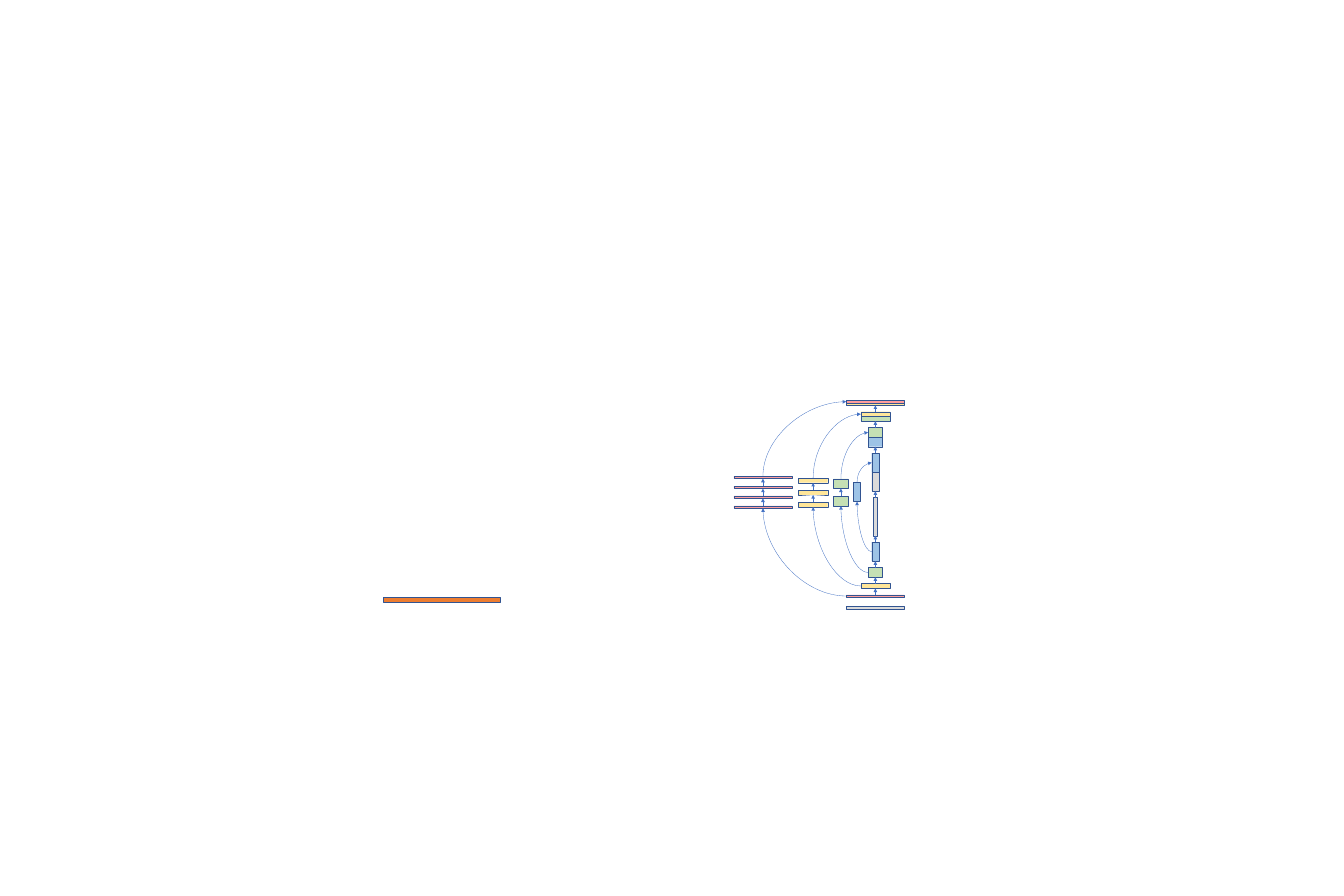
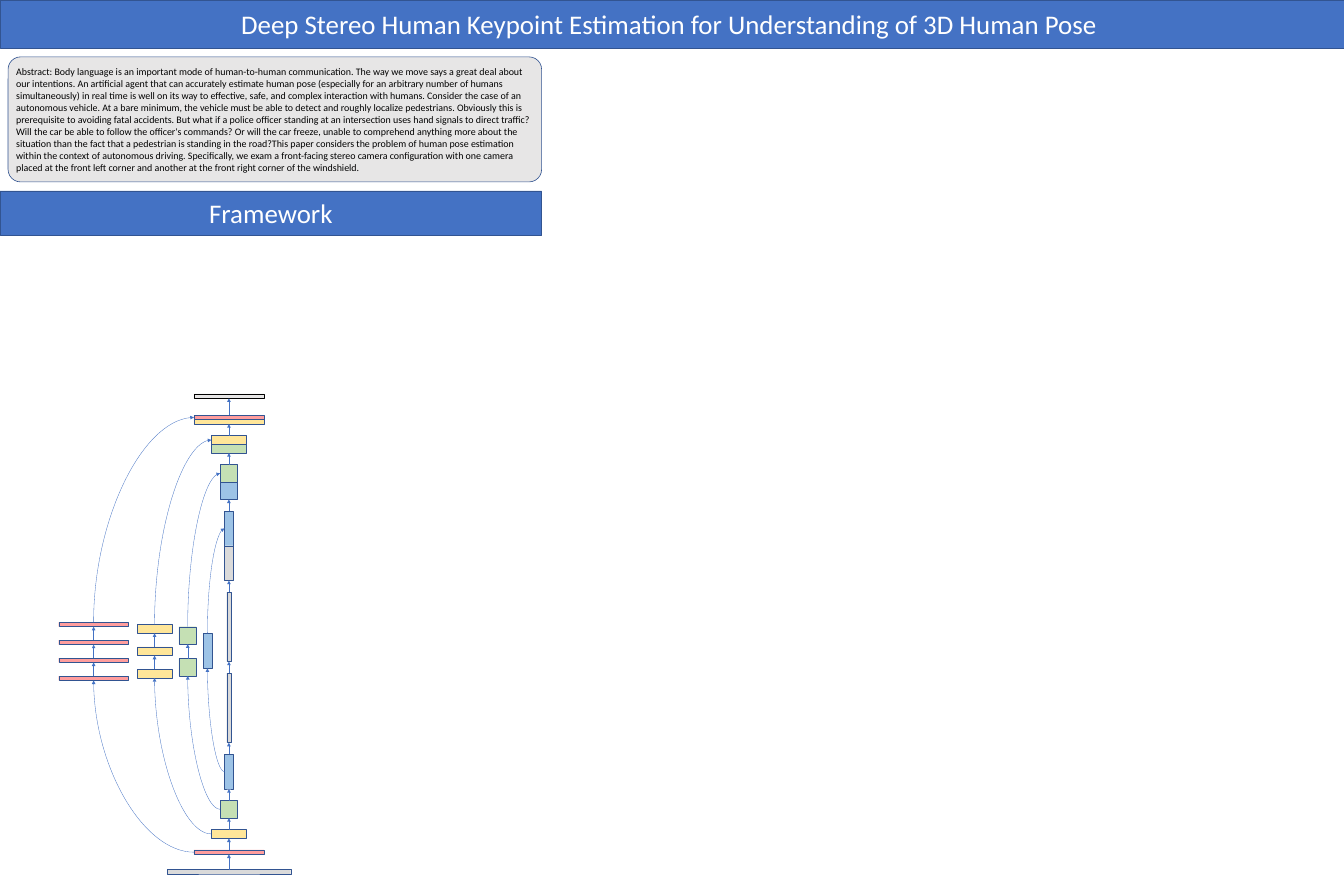
"""Two poster slides built around an encoder-decoder network diagram."""
from dataclasses import dataclass

from lxml import etree
from pptx import Presentation
from pptx.dml.color import RGBColor
from pptx.enum.shapes import MSO_CONNECTOR, MSO_SHAPE
from pptx.enum.text import MSO_ANCHOR, MSO_AUTO_SIZE, PP_ALIGN
from pptx.oxml.ns import qn
from pptx.util import Inches, Pt

RECT, ROUNDED = MSO_SHAPE.RECTANGLE, MSO_SHAPE.ROUNDED_RECTANGLE
STRAIGHT, CURVE = MSO_CONNECTOR.STRAIGHT, MSO_CONNECTOR.CURVE
CENTER, LEFT = PP_ALIGN.CENTER, PP_ALIGN.LEFT
MIDDLE, NO_AUTOFIT = MSO_ANCHOR.MIDDLE, MSO_AUTO_SIZE.NONE
TITLE_ONLY, BLANK = 5, 6
TOP_SITE, BOTTOM_SITE = 0, 2
QUARTER_TURN = 90 * 60000


@dataclass(frozen=True)
class Theme:
    """Colours, type and line weights shared by both slides."""
    band: str = "4472C4"
    outline: str = "325491"
    panel: str = "E7E6E6"
    orange: str = "ED7D31"
    neck: str = "DADADA"
    levels: tuple = ("FF9D9D", "FFE699", "C5E0B4", "9DC3E6")
    white: str = "FFFFFF"
    black: str = "000000"
    font: str = "Calibri"
    heading_size: float = 43.2
    body_size: float = 16
    thin: float = 0.5
    regular: float = 1
    page_width: float = 30
    page_height: float = 20
    column_width: float = 12.09


@dataclass(frozen=True)
class Network:
    """Size and place of one diagram; each skip is (centre x, first top, pitch)."""
    center: float
    top: float
    bottom: float
    widest: float
    tallest: float
    necks: int
    skips: tuple


THEME = Theme()
COMPACT = Network(
    19.54, 8.94, 13.33, 1.3, 0.85, 1,
    ((17.03, 10.63, 0.22), (18.15, 10.67, 0.27), (18.77, 10.69, 0.39), (19.13, 10.77, 0)))
TALL = Network(
    5.11, 9.27, 19.07, 1.56, 1.55, 2,
    ((2.09, 13.89, 0.4), (3.45, 13.94, 0.5), (4.19, 13.99, 0.71), (4.63, 14.14, 0)))

TITLE = "Deep Stereo Human Keypoint Estimation for Understanding of 3D Human Pose "
ABSTRACT_SENTENCES = [
    "Abstract: Body language is an important mode of human-to-human communication.",
    "The way we move says a great deal about our intentions.",
    "An artificial agent that can accurately estimate human pose (especially for an "
    "arbitrary number of humans simultaneously) in real time is well on its way to "
    "effective, safe, and complex interaction with humans.",
    "Consider the case of an autonomous vehicle.",
    "At a bare minimum, the vehicle must be able to detect and roughly localize "
    "pedestrians.",
    "Obviously this is prerequisite to avoiding fatal accidents.",
    "But what if a police officer standing at an intersection uses hand signals to "
    "direct traffic?",
    "Will the car be able to follow the officer's commands?",
    "Or will the car freeze, unable to comprehend anything more about the situation "
    "than the fact that a pedestrian is standing in the road?This paper considers the "
    "problem of human pose estimation within the context of autonomous driving.",
    "Specifically, we exam a front-facing stereo camera configuration with one camera "
    "placed at the front left corner and another at the front right corner of the "
    "windshield.",
]


def paint(shape, fill, outline=THEME.outline, weight=THEME.thin):
    """Give a shape a flat fill and an outline."""
    shape.fill.solid()
    shape.fill.fore_color.rgb = RGBColor.from_string(fill)
    shape.line.color.rgb = RGBColor.from_string(outline)
    shape.line.width = Pt(weight)


def add_block(canvas, center, top, width, height, fill, kind=RECT, **outline):
    """Draw a block centred on a vertical axis."""
    block = canvas.add_shape(kind, Inches(center - width / 2), Inches(top),
                             Inches(width), Inches(height))
    block.shadow.inherit = False
    paint(block, fill, **outline)
    return block


def write(shape, text, size, color, align):
    """Set one paragraph of text, centred vertically in its shape."""
    frame = shape.text_frame
    frame.text = text
    frame.word_wrap = True
    frame.auto_size = NO_AUTOFIT
    frame.vertical_anchor = MIDDLE
    paragraph = frame.paragraphs[0]
    paragraph.alignment = align
    font = paragraph.runs[0].font
    font.name, font.size = THEME.font, Pt(size)
    font.color.rgb = RGBColor.from_string(color)


def style_heading(band, text):
    """Turn a shape or placeholder into a heading band."""
    paint(band, THEME.band, weight=THEME.regular)
    write(band, text, THEME.heading_size, THEME.white, CENTER)


def add_arrow(canvas, kind, start, end):
    """Draw a thin connector with a triangular head."""
    arrow = canvas.add_connector(kind, *start, *end)
    arrow.line.color.rgb = RGBColor.from_string(THEME.band)
    arrow.line.width = Pt(THEME.thin)
    properties = arrow._element.spPr
    etree.SubElement(properties.find(qn("a:ln")), qn("a:tailEnd"), type="triangle")
    etree.SubElement(properties, qn("a:effectLst"))
    return arrow


def link_up(canvas, lower, upper):
    """Join the top of one block to the bottom of the block above."""
    arrow = add_arrow(canvas, STRAIGHT, (lower.left + lower.width // 2, lower.top),
                      (upper.left + upper.width // 2, upper.top + upper.height))
    arrow.begin_connect(lower, TOP_SITE)
    arrow.end_connect(upper, BOTTOM_SITE)


def add_bend(canvas, start, end, quarter_turns):
    """Draw a single-bend curve turned about its centre."""
    bend = add_arrow(canvas, CURVE, start, end)
    properties = bend._element.spPr
    properties.find(qn("a:prstGeom")).set("prst", "curvedConnector2")
    properties.find(qn("a:xfrm")).set("rot", str(quarter_turns * QUARTER_TURN))


def bend_out(canvas, encoder, skip):
    """Curve from an encoder's left side up to the bottom of a skip block."""
    skip_corner = skip.left + skip.width // 2, skip.top + skip.height
    encoder_corner = encoder.left, encoder.top + encoder.height // 2
    add_bend(canvas, skip_corner, encoder_corner, 2)


def bend_back(canvas, skip, decoder):
    """Curve from the top of a skip block to a decoder's left side."""
    left, bottom = skip.left + skip.width // 2, skip.top
    right, top = decoder.left, decoder.top + decoder.height // 2
    middle_x, middle_y = (left + right) // 2, (top + bottom) // 2
    half_run, half_rise = (right - left) // 2, (bottom - top) // 2
    add_bend(canvas, (middle_x + half_rise, middle_y + half_run),
             (middle_x - half_rise, middle_y - half_run), 1)


def add_skip(canvas, network, level, width, height):
    """Draw one column of skip blocks and return its first and last block."""
    center, top, pitch = network.skips[level]
    column = [add_block(canvas, center, top + row * pitch, width, height,
                        THEME.levels[level])
              for row in range(len(THEME.levels) - level)]
    for upper, lower in zip(column, column[1:]):
        link_up(canvas, lower, upper)
    return column[0], column[-1]


def add_network(canvas, network):
    """Draw the diagram and return its first encoder and last decoder."""
    depth = len(THEME.levels)
    fills = THEME.levels + (THEME.neck,)
    sizes = [(network.widest / 2 ** level, network.tallest / 2 ** (depth - level))
             for level in range(depth + 1)]
    heights = [height for _, height in sizes[:depth]]
    stages = 2 * depth + network.necks
    used = 3 * sum(heights) + network.necks * network.tallest
    gap = (network.bottom - network.top - used) / (stages - 1)

    y = network.bottom
    encoders, decoders, previous = [], {}, None
    climb = list(range(depth)) + [depth] * network.necks
    for level in climb:
        width, height = sizes[level]
        y -= height
        block = add_block(canvas, network.center, y, width, height, fills[level])
        if previous:
            link_up(canvas, previous, block)
        encoders.append(block)
        previous = block
        y -= gap
    for level in reversed(range(depth)):
        width, height = sizes[level]
        merged = add_block(canvas, network.center, y - height, width, height,
                           fills[level + 1])
        link_up(canvas, previous, merged)
        y -= 2 * height
        previous = add_block(canvas, network.center, y, width, height, fills[level])
        decoders[level] = previous
        y -= gap

    for level in range(depth):
        first, last = add_skip(canvas, network, level, *sizes[level])
        bend_out(canvas, encoders[level], last)
        bend_back(canvas, first, decoders[level])
    return encoders[0], decoders[0]


def add_draft_slide(deck):
    """Add the compact diagram with its loose bars."""
    canvas = deck.slides.add_slide(deck.slide_layouts[BLANK]).shapes
    add_block(canvas, 9.86, 13.33, 2.6, 0.11, THEME.orange, weight=THEME.regular)
    add_network(canvas, COMPACT)
    add_block(canvas, COMPACT.center, 13.54, COMPACT.widest, 0.05, THEME.neck,
              weight=THEME.regular)


def add_poster_slide(deck):
    """Add the poster with title, abstract and the full framework diagram."""
    canvas = deck.slides.add_slide(deck.slide_layouts[TITLE_ONLY]).shapes
    title = canvas.title
    title.left, title.top = 0, 0
    title.width, title.height = Inches(THEME.page_width), Inches(1.08)
    style_heading(title, TITLE)

    column = THEME.column_width
    framework = add_block(canvas, column / 2, 4.26, column, 1, THEME.band)
    style_heading(framework, "Framework")

    margin = 0.18
    abstract = add_block(canvas, (column + margin) / 2, 1.27, column - margin, 2.79,
                         THEME.panel, ROUNDED, weight=THEME.regular)
    abstract.adjustments[0] = 0.1
    write(abstract, " ".join(ABSTRACT_SENTENCES), THEME.body_size, THEME.black, LEFT)

    diagram = canvas.add_group_shape().shapes
    encoder, decoder = add_network(diagram, TALL)
    source = add_block(diagram, TALL.center, 19.41, 2.76, 0.1, THEME.neck)
    result = add_block(diagram, TALL.center, 8.79, TALL.widest, 0.1, THEME.panel,
                       outline=THEME.black)
    link_up(diagram, source, encoder)
    link_up(diagram, decoder, result)


def main():
    """Build and save the deck."""
    deck = Presentation()
    deck.slide_width = Inches(THEME.page_width)
    deck.slide_height = Inches(THEME.page_height)
    add_draft_slide(deck)
    add_poster_slide(deck)
    deck.save("out.pptx")


if __name__ == "__main__":
    main()
